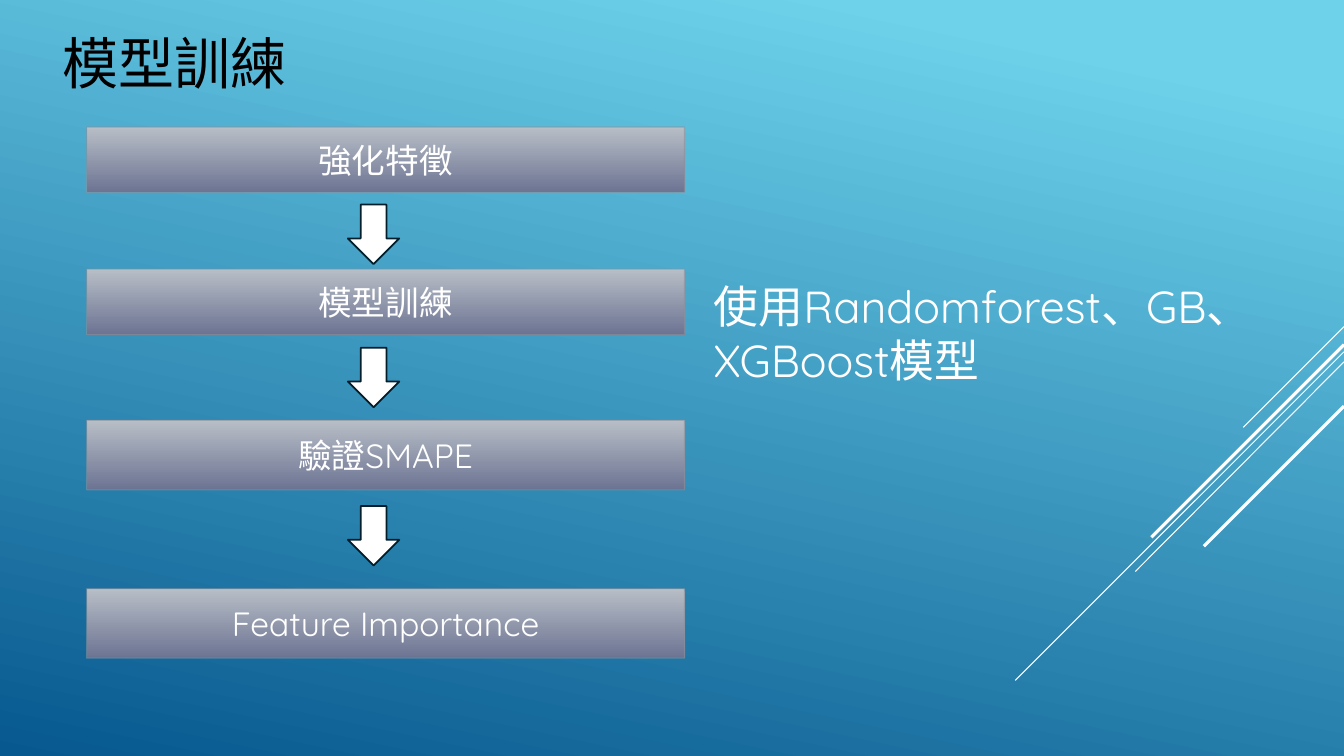
from lxml import etree
from pptx import Presentation
from pptx.dml.color import RGBColor
from pptx.enum.shapes import MSO_CONNECTOR as Connector, MSO_SHAPE as Shape
from pptx.enum.text import MSO_ANCHOR as Anchor, MSO_AUTO_SIZE as AutoSize, PP_ALIGN as Align
from pptx.oxml.ns import qn
from pptx.util import Inches, Pt

WHITE = RGBColor(0xFF, 0xFF, 0xFF)
BLACK = RGBColor(0x00, 0x00, 0x00)
SKY = RGBColor(0x6E, 0xD2, 0xEB)
DEEP_BLUE = RGBColor(0x06, 0x58, 0x8E)
STEP_TOP = RGBColor(0xB8, 0xBE, 0xC6)
STEP_BOTTOM = RGBColor(0x6C, 0x74, 0x93)
STEP_EDGE = RGBColor(0x89, 0x91, 0x9C)
ARROW_EDGE = RGBColor(0x02, 0x1E, 0x2B)
FONT = "Quicksand"

STEPS = [
    ("強化特徵", 0, 0.65),
    ("模型訓練", 1.41, 0.65),
    ("驗證SMAPE", 2.91, 0.69),
    ("Feature Importance", 4.58, 0.69),
]
ARROW_TOPS = [0.77, 2.19, 3.76]
RAYS = [
    (0, 1, 1, 0.75),
    (0.25, 3.26, 3.26, 0.75),
    (0.35, 2.07, 2.08, 0.75),
    (0.18, 1.91, 1.91, 2.25),
    (0.79, 1.39, 1.39, 2.25),
]


def write(frame, text, size, color, align=Align.LEFT, anchor=Anchor.TOP):
    frame.text = text
    frame.word_wrap = True
    frame.vertical_anchor = anchor
    paragraph = frame.paragraphs[0]
    paragraph.alignment = align
    font = paragraph.runs[0].font
    font.name, font.size, font.color.rgb = FONT, Pt(size), color


def fill_gradient(fill, stops, clockwise_angle):
    fill.gradient()
    fill.gradient_angle = 360 - clockwise_angle
    for stop, (position, color) in zip(fill.gradient_stops, stops):
        stop.position = position
        stop.color.rgb = color


def add_rays(slide, right, top):
    rays = slide.shapes.add_group_shape()
    for drop, width, height, weight in RAYS:
        ray = rays.shapes.add_connector(
            Connector.STRAIGHT, Inches(right), Inches(top + drop),
            Inches(right - width), Inches(top + drop + height))
        ray.line.color.rgb = WHITE
        ray.line.width = Pt(weight)
        etree.SubElement(ray.line._get_or_add_ln().getparent(), qn("a:effectLst"))


def add_title(slide, left, top, width, height):
    title = slide.shapes.title
    title.left, title.top = Inches(left), Inches(top)
    title.width, title.height = Inches(width), Inches(height)
    write(title.text_frame, "模型訓練", 40, BLACK)
    title.text_frame.auto_size = AutoSize.NONE


def add_step(slide, text, left, top, width, height):
    step = slide.shapes.add_shape(
        Shape.RECTANGLE, Inches(left), Inches(top), Inches(width), Inches(height))
    step.shadow.inherit = False
    fill_gradient(step.fill, [(0, STEP_TOP), (1, STEP_BOTTOM)], 90)
    step.line.color.rgb = STEP_EDGE
    step.line.width = Pt(0.75)
    edge = step.line._get_or_add_ln().find(".//" + qn("a:srgbClr"))
    etree.SubElement(edge, qn("a:alpha"), val="60000")
    write(step.text_frame, text, 24, WHITE, Align.CENTER, Anchor.MIDDLE)


def add_arrow(slide, left, top):
    arrow = slide.shapes.add_shape(
        Shape.DOWN_ARROW, Inches(left), Inches(top), Inches(0.51), Inches(0.59))
    arrow.shadow.inherit = False
    arrow.fill.solid()
    arrow.fill.fore_color.rgb = WHITE
    arrow.line.color.rgb = ARROW_EDGE
    arrow.line.width = Pt(1.25)


def add_training_flow(slide, left, top, width):
    for text, offset, height in STEPS:
        add_step(slide, text, left, top + offset, width, height)
    for offset in ARROW_TOPS:
        add_arrow(slide, left + 2.59, top + offset)


def add_model_note(slide, left, top, width, height):
    note = slide.shapes.add_textbox(
        Inches(left), Inches(top), Inches(width), Inches(height))
    write(note.text_frame, "使用Randomforest、GB、XGBoost模型", 32, WHITE)
    note.text_frame.auto_size = AutoSize.SHAPE_TO_FIT_TEXT


def main():
    deck = Presentation()
    deck.slide_width, deck.slide_height = Inches(13.33), Inches(7.5)
    slide = deck.slides.add_slide(deck.slide_layouts[5])
    fill_gradient(slide.background.fill, [(0.1, SKY), (1, DEEP_BLUE)], 102)
    add_rays(slide, 13.33, 3.24)
    add_title(slide, 0.52, 0.23, 3.19, 1.45)
    add_training_flow(slide, 0.86, 1.26, 5.93)
    add_model_note(slide, 6.98, 2.72, 5.85, 1.18)
    deck.save("out.pptx")


if __name__ == "__main__":
    main()
